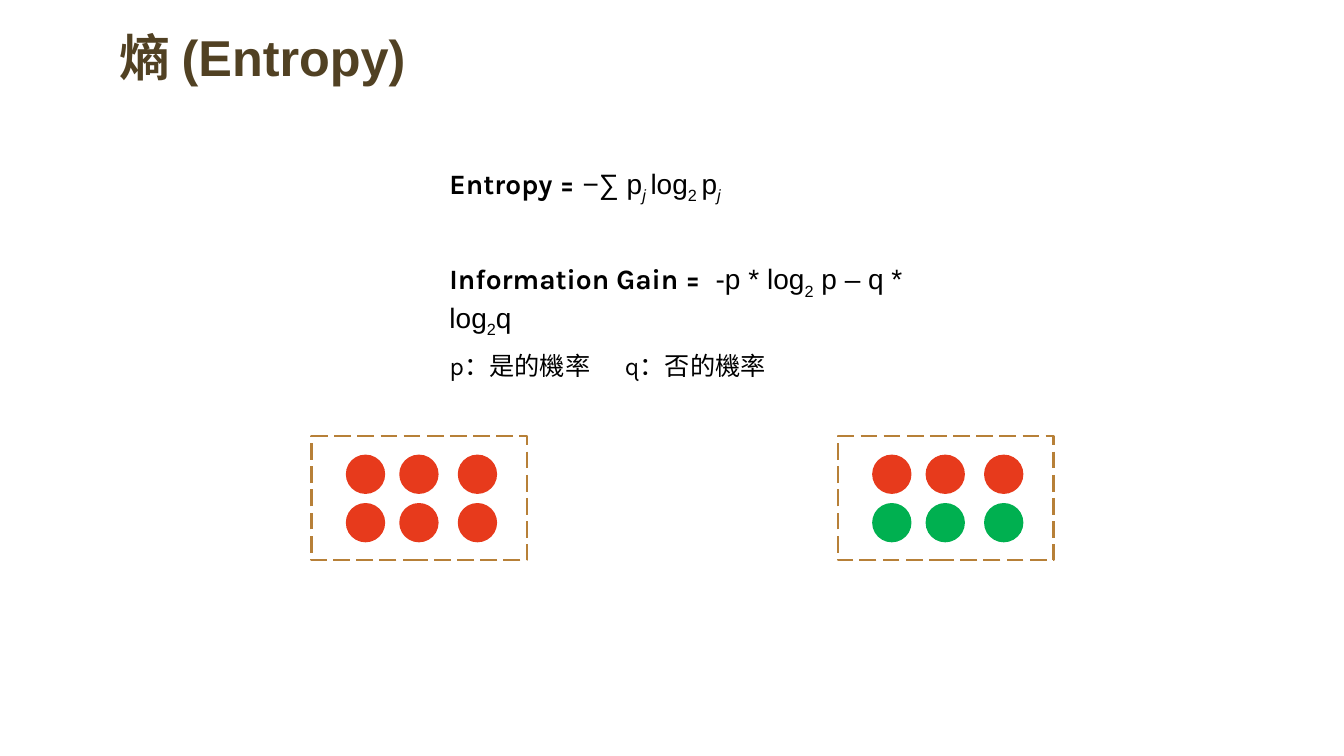
from lxml import etree
from pptx import Presentation
from pptx.dml.color import RGBColor
from pptx.enum.dml import MSO_LINE_DASH_STYLE as DASH
from pptx.enum.shapes import MSO_SHAPE as SHAPE
from pptx.enum.text import MSO_ANCHOR as ANCHOR
from pptx.oxml.ns import qn
from pptx.util import Inches, Pt


def color(value):
    return RGBColor.from_string(value)


def add_text(left, top, width, height, size, ink, spans, tab=None):
    box = page.shapes.add_textbox(Inches(left), Inches(top), Inches(width), Inches(height))
    box.text_frame.word_wrap = True
    para = box.text_frame.paragraphs[0]
    if tab:
        tabs = etree.SubElement(para._p.get_or_add_pPr(), qn("a:tabLst"))
        etree.SubElement(tabs, qn("a:tab"), pos=str(Inches(tab)), algn="l")
    for text, style in spans:
        span = para.add_run()
        span.text = text
        span.font.size = Pt(size)
        span.font.color.rgb = color(ink)
        for name, value in style.items():
            setattr(span.font, name, value)
        if style in (SUB, SUB_ITALIC):
            span._r.get_or_add_rPr().set("baseline", "-25000")
    return box


PLAIN = {"name": "Arial", "bold": False}
TITLE = {"name": "Arial", "bold": True}
LABEL = {"name": "Karla", "bold": True}
NOTE = {"name": "Karla", "bold": False}
SUB = {"name": "Arial", "bold": False, "italic": False}
SUB_ITALIC = {"name": "Arial", "bold": False, "italic": True}
RED, GREEN = "E73A1C", "00B050"

deck = Presentation()
deck.slide_width, deck.slide_height = Inches(13.33), Inches(7.5)
page = deck.slides.add_slide(deck.slide_layouts[6])

title = add_text(1.09, 0.27, 10.19, 0.65, 36, "514123", [("熵 (Entropy)", TITLE)])
title.text_frame.vertical_anchor = ANCHOR.MIDDLE
title.text_frame.paragraphs[0].line_spacing = 0.9

add_text(4.36, 1.6, 3.8, 0.44, 20, "000000", [
    ("Entropy =", LABEL), (" −∑ p", PLAIN), ("j ", SUB_ITALIC), ("log", PLAIN),
    ("2 ", SUB), ("p", PLAIN), ("j", SUB_ITALIC),
])
add_text(4.36, 2.55, 5.23, 0.77, 20, "000000", [
    ("Information Gain = ", LABEL), (" -p * log", PLAIN), ("2", SUB),
    (" p – q * log", PLAIN), ("2", SUB), ("q", PLAIN),
])
add_text(4.36, 3.43, 6.67, 0.4, 18, "000000", [("p：是的機率\tq：否的機率", NOTE)], tab=1.74)

for group_left, row_colors in ((3.09, (RED, RED)), (8.31, (RED, GREEN))):
    frame = page.shapes.add_shape(
        SHAPE.RECTANGLE, Inches(group_left), Inches(4.33), Inches(2.14), Inches(1.23))
    frame.shadow.inherit = False
    frame.fill.background()
    frame.line.color.rgb = color("B78038")
    frame.line.width = Pt(1.5)
    frame.line.dash_style = DASH.LONG_DASH
    for row, fill in enumerate(row_colors):
        for offset in (0.34, 0.87, 1.45):
            ball = page.shapes.add_shape(
                SHAPE.OVAL, Inches(group_left + offset), Inches(4.51 + 0.48 * row),
                Inches(0.39), Inches(0.39))
            ball.shadow.inherit = False
            ball.fill.solid()
            ball.fill.fore_color.rgb = color(fill)
            ball.line.fill.background()

deck.save("out.pptx")
